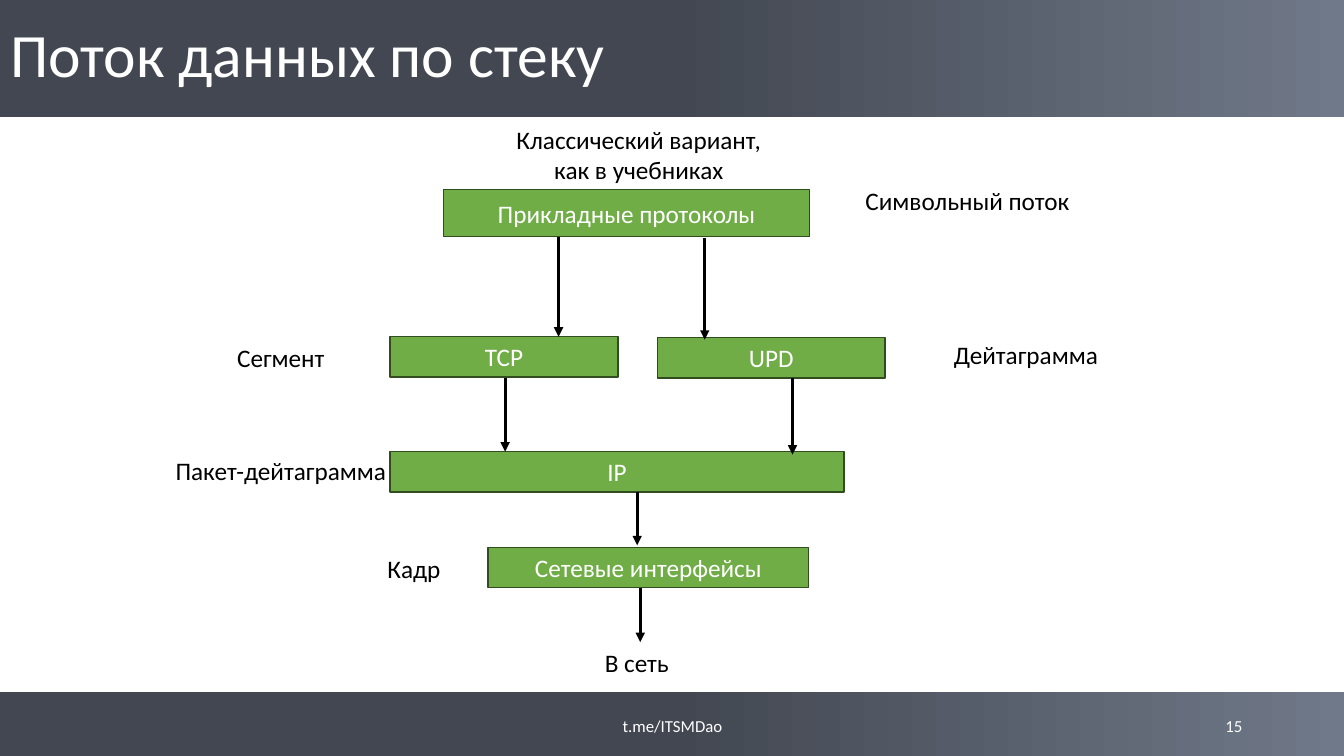
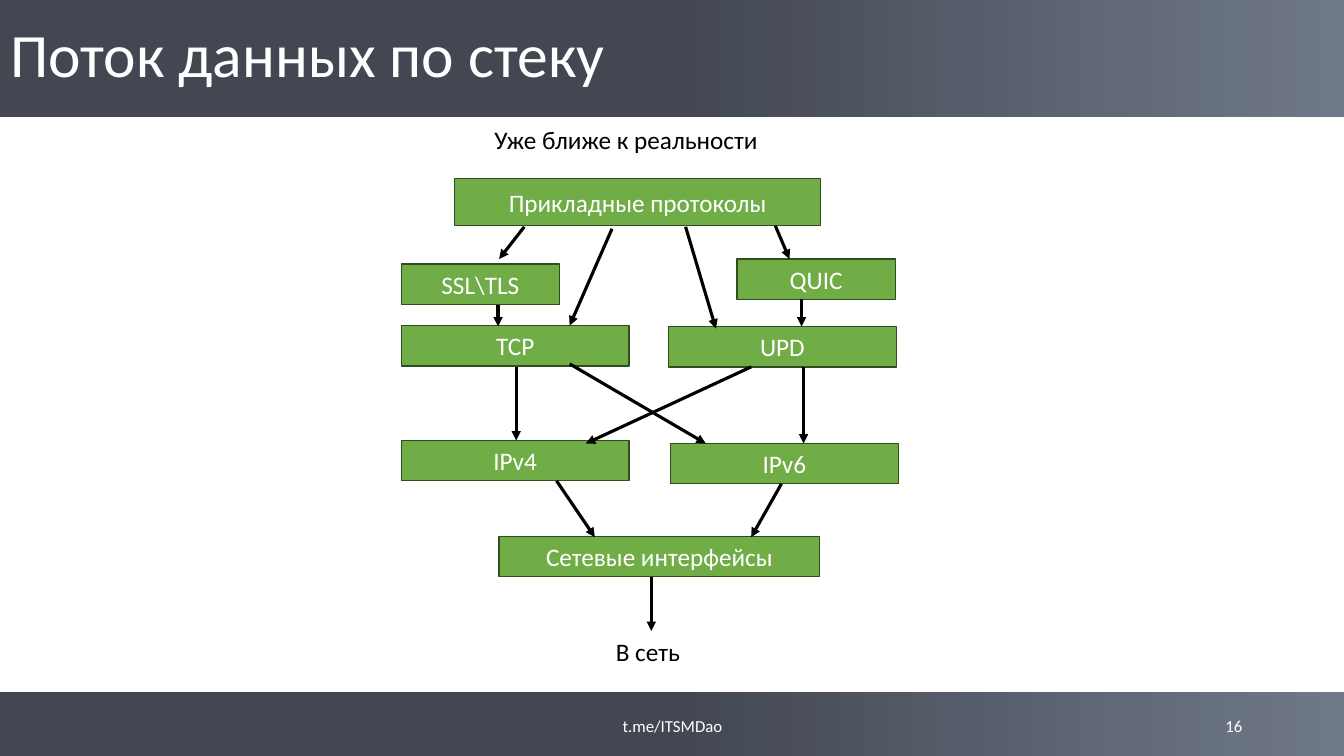
from dataclasses import dataclass

from lxml import etree
from pptx import Presentation
from pptx.dml.color import RGBColor
from pptx.enum import shapes, text
from pptx.oxml import ns
from pptx.util import Inches, Pt


# Theme: colours and type sizes
@dataclass(frozen=True)
class Theme:
    font: str = "Calibri"
    white: RGBColor = RGBColor(0xFF, 0xFF, 0xFF)
    black: RGBColor = RGBColor(0, 0, 0)
    green: RGBColor = RGBColor(0x70, 0xAD, 0x47)
    outline: RGBColor = RGBColor(0x31, 0x4C, 0x1F)
    band_light: RGBColor = RGBColor(0x70, 0x79, 0x89)
    band_dark: RGBColor = RGBColor(0x42, 0x47, 0x51)
    title_size: int = 44
    body_size: int = 18
    footer_size: int = 12


THEME = Theme()
WIDTH, HEIGHT = 13.33, 7.5
TITLE_BAND = (0, -0.01, WIDTH, 1.17)
FOOTER_BAND = (0, 6.87, WIDTH, 0.63)
ROW = 0.4  # height of a protocol box or one-line label
CENTER, LEFT, RIGHT = text.PP_ALIGN.CENTER, text.PP_ALIGN.LEFT, text.PP_ALIGN.RIGHT

# Parts of the stack found on both slides: (wording, left, top, width, height)
STACK_BOXES = [
    ("Прикладные протоколы", 4.4, 1.88, 3.63, 0.47),
    ("TCP", 3.87, 3.34, 2.26, ROW),
    ("UPD", 6.52, 3.35, 2.26, ROW),
    ("Сетевые интерфейсы", 4.84, 5.43, 3.18, ROW),
]
# Arrows: (from x, from y, to x, to y)
STACK_ARROWS = [
    (5.01, 3.75, 5.01, 4.48),
    (7.86, 3.75, 7.86, 4.51),
    (6.35, 5.83, 6.35, 6.37),
]


def place(area):
    return [Inches(value) for value in area]


def write(frame, wording, size, color, align=CENTER):
    paragraph = frame.paragraphs[0]
    paragraph.alignment = align
    run = paragraph.add_run()
    run.text = wording
    run.font.name, run.font.size = THEME.font, Pt(size)
    run.font.color.rgb = color
    return paragraph


def add_label(slide, wording, area, align=CENTER, size=THEME.body_size,
              color=THEME.black, anchor=text.MSO_ANCHOR.TOP):
    frame = slide.shapes.add_textbox(*place(area)).text_frame
    frame.word_wrap = True
    frame.vertical_anchor = anchor
    write(frame, wording, size, color, align)


def add_rectangle(slide, area):
    rectangle = slide.shapes.add_shape(shapes.MSO_SHAPE.RECTANGLE, *place(area))
    rectangle.shadow.inherit = False
    return rectangle


def add_box(slide, wording, area):
    box = add_rectangle(slide, area)
    box.fill.solid()
    box.fill.fore_color.rgb = THEME.green
    box.line.color.rgb = THEME.outline
    box.line.width = Pt(1)
    box.text_frame.vertical_anchor = text.MSO_ANCHOR.MIDDLE
    write(box.text_frame, wording, THEME.body_size, THEME.white)


def add_arrow(slide, ends):
    arrow = slide.shapes.add_connector(shapes.MSO_CONNECTOR.STRAIGHT, *place(ends))
    arrow.line.color.rgb = THEME.black
    arrow.line.width = Pt(2.25)
    etree.SubElement(arrow.line._get_or_add_ln(), ns.qn("a:tailEnd"), type="triangle")
    etree.SubElement(arrow._element.spPr, ns.qn("a:effectLst"))


# Bands live on the layout, behind everything the slides add
def style_layout(layout, slide):
    for area in (FOOTER_BAND, TITLE_BAND):
        band = add_rectangle(slide, area)
        band.line.fill.background()
        band.fill.gradient()
        band.fill.gradient_angle = 180
        stops = zip(band.fill.gradient_stops, (0, 0.5), (THEME.band_light, THEME.band_dark))
        for stop, position, color in stops:
            stop.position = position
            stop.color.rgb = color
        layout.shapes._spTree.insert(2, band._element)


# Title and footer of a slide
def add_frame(slide, number):
    title = slide.shapes.title
    title.left, title.top, title.width, title.height = place(TITLE_BAND)
    title.text_frame.vertical_anchor = text.MSO_ANCHOR.MIDDLE
    title.text_frame.auto_size = text.MSO_AUTO_SIZE.NONE
    heading = write(title.text_frame, "Поток данных по стеку", THEME.title_size,
                    THEME.white, LEFT)
    heading.line_spacing = 0.9
    footers = [("t.me/ITSMDao", 4.42, 4.5, CENTER), (str(number), 9.42, 3, RIGHT)]
    for wording, left, width, align in footers:
        add_label(slide, wording, (left, 7, width, ROW), align, THEME.footer_size,
                  THEME.white, text.MSO_ANCHOR.MIDDLE)


# The common stack, moved right and up by shift, with the slide's own parts
def add_flow(slide, shift, boxes, arrows):
    def moved(left, top):
        return left + shift, top - shift

    shared = [(name, *moved(left, top), *size) for name, left, top, *size in STACK_BOXES]
    for name, *area in shared + boxes:
        add_box(slide, name, area)
    shared_arrows = [(*moved(x1, y1), *moved(x2, y2)) for x1, y1, x2, y2 in STACK_ARROWS]
    for ends in shared_arrows + arrows:
        add_arrow(slide, ends)
    add_label(slide, "В сеть", (*moved(5.9, 6.37), 1.31, ROW), LEFT)


def classic_flow(slide):
    add_label(slide, "Классический вариант, как в учебниках", (4.94, 1.18, 2.79, 0.71))
    add_flow(slide, 0, [("IP", 3.87, 4.48, 4.5, ROW)], [
        (5.54, 2.35, 5.54, 3.34),
        (6.99, 2.36, 6.99, 3.37),
        (6.32, 4.88, 6.32, 5.41),
    ])
    # Data units beside their layers
    for unit, left, top in [
        ("Символьный поток", 8.2, 1.79),
        ("Дейтаграмма", 8.78, 3.32),
        ("Сегмент", 1.39, 3.35),
        ("Пакет-дейтаграмма", 1.39, 4.47),
        ("Кадр", 2.71, 5.44),
    ]:
        add_label(slide, unit, (left, top, 2.79, ROW))


def realistic_flow(slide):
    add_label(slide, "Уже ближе к реальности", (1.51, 1.18, 9.4, ROW))
    boxes = [
        ("IPv4", 3.98, 4.37, 2.26, ROW),
        ("IPv6", 6.65, 4.4, 2.26, ROW),
        ("QUIC", 7.31, 2.57, 1.57, ROW),
        ("SSL\\TLS", 3.98, 2.62, 1.57, ROW),
    ]
    add_flow(slide, 0.11, boxes, [
        # Applications to security and transport
        (5.2, 2.25, 4.95, 2.57),
        (6.07, 2.27, 5.65, 3.23),
        (6.8, 2.25, 7.1, 3.26),
        (7.69, 2.24, 7.83, 2.57),
        (4.94, 3.03, 4.94, 3.24),
        (7.95, 2.97, 7.95, 3.24),
        # Transport across to the other IP version
        (5.65, 3.61, 7, 4.4),
        (7.45, 3.64, 5.81, 4.4),
        # IP to network interfaces
        (5.52, 4.77, 5.9, 5.33),
        (7.75, 4.8, 7.45, 5.33),
    ])


def main():
    prs = Presentation()
    prs.slide_width, prs.slide_height = Inches(WIDTH), Inches(HEIGHT)
    layout = prs.slide_layouts[5]
    for number, draw_flow in enumerate((classic_flow, realistic_flow), start=15):
        slide = prs.slides.add_slide(layout)
        if len(prs.slides) == 1:
            style_layout(layout, slide)
        add_frame(slide, number)
        draw_flow(slide)
    prs.save("out.pptx")


if __name__ == "__main__":
    main()
